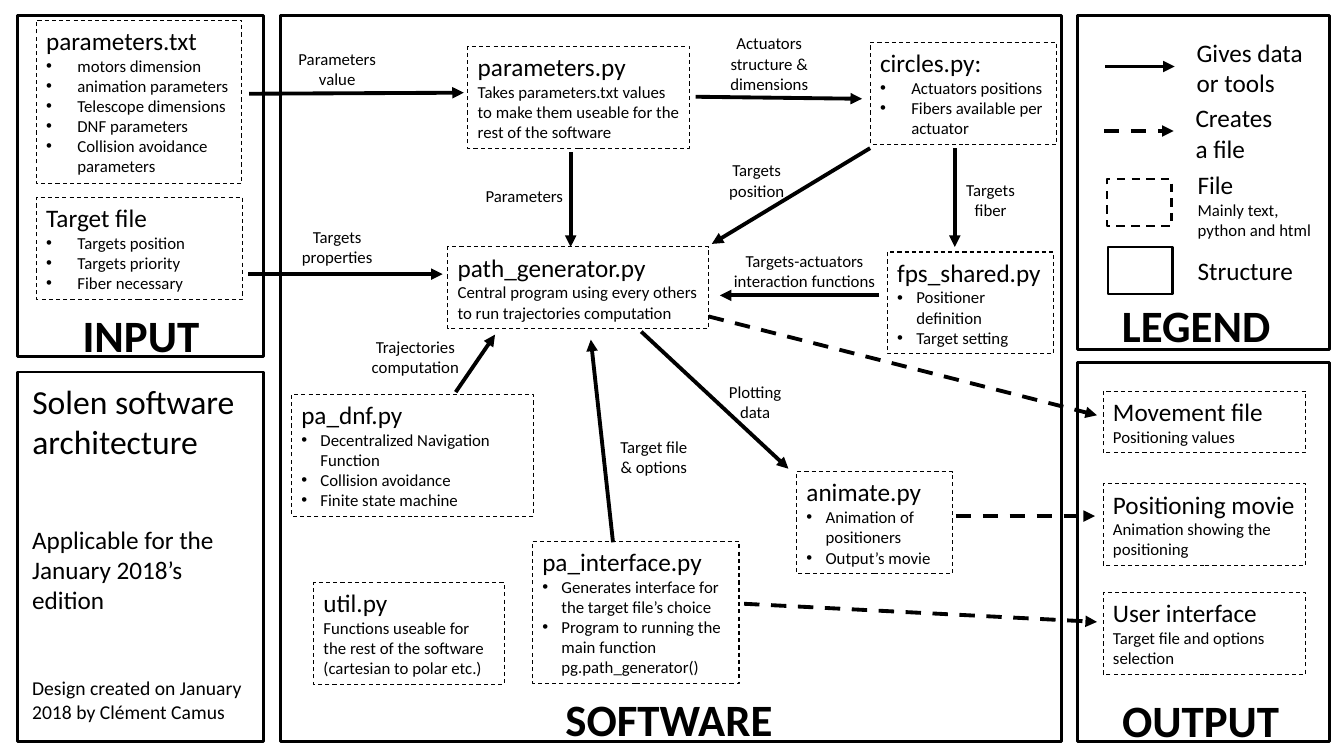
from pptx import Presentation, util as u
from pptx.dml.color import RGBColor
from pptx.enum import dml, shapes, text
from pptx.oxml import ns
from lxml import etree

INK, PAPER = "000000", "FFFFFF"
HEAD, NOTE = 18, 12
LEFT, MID = text.PP_ALIGN.LEFT, text.PP_ALIGN.CENTER


def paint(goal, hue):
    if hasattr(goal, "solid"):
        goal.solid()
        goal = goal.fore_color
    goal.rgb = RGBColor.from_string(hue)


def put(item, form):
    for key, val in form.items():
        setattr(item, key, val)


def add(node, tag, **atts):
    return etree.SubElement(node, ns.qn(tag), atts)


def bullet(para, dent):
    prop = para._p.get_or_add_pPr()
    size = u.Inches(dent)
    prop.set("marL", str(size))
    prop.set("indent", str(-size))
    add(prop, "a:buFont", typeface="Arial")
    add(prop, "a:buChar", char="•")


def write(item, rows, align=LEFT, bold=False, gap=0, dent=0,
          fit=text.MSO_AUTO_SIZE.SHAPE_TO_FIT_TEXT):
    frame = item.text_frame
    put(frame, dict(word_wrap=True, auto_size=fit,
                    vertical_anchor=text.MSO_ANCHOR.TOP,
                    margin_left=u.Inches(0.1), margin_right=u.Inches(0.1),
                    margin_top=u.Inches(0.05), margin_bottom=u.Inches(0.05)))
    for num, (words, size) in enumerate(rows):
        para = frame.add_paragraph() if num else frame.paragraphs[0]
        put(para, dict(alignment=align, space_before=u.Pt(gap if num else 0)))
        if num and dent:
            bullet(para, dent)
        run = para.add_run()
        run.text = words
        put(run.font, dict(name="Calibri", size=u.Pt(size), bold=bold))
        paint(run.font.color, INK)


class Region:
    def __init__(self, slide, box):
        self.tree, self.box = slide.shapes, box

    def place(self, x, y, wide, high):
        left, top = self.box[:2]
        return [u.Inches(n) for n in (left + x, top + y, wide, high)]

    def stroke(self, item, width, dash):
        paint(item.line.fill, INK)
        item.line.width = u.Pt(width)
        if dash:
            item.line.dash_style = dml.MSO_LINE.DASH

    def rect(self, spot, width=2, dash=False, fill=None):
        item = self.tree.add_shape(shapes.MSO_SHAPE.RECTANGLE, *self.place(*spot))
        item.shadow.inherit = False
        if fill:
            paint(item.fill, fill)
        else:
            item.fill.background()
        self.stroke(item, width, dash)
        return item

    def frame(self):
        self.rect((0, 0, *self.box[2:]))

    def file(self, spot, name, notes, dent=0, fill=None):
        item = self.rect(spot, 0.75, True, fill)
        write(item, [(name, HEAD)] + [(n, NOTE) for n in notes], dent=dent)

    def label(self, spot, rows, **form):
        write(self.tree.add_textbox(*self.place(*spot)), rows, **form)

    def name(self, spot, words):
        self.label((*spot, 0.64), [(words, 32)], bold=True)

    def arrow(self, x1, y1, x2, y2, dash=False):
        ends = self.place(x1, y1, 0, 0)[:2] + self.place(x2, y2, 0, 0)[:2]
        item = self.tree.add_connector(shapes.MSO_CONNECTOR.STRAIGHT, *ends)
        self.stroke(item, 2.75, dash)
        prop = item.element.spPr
        add(prop.find(ns.qn("a:ln")), "a:tailEnd", type="triangle")
        add(prop, "a:effectLst")


def draw_input(slide, box):
    area = Region(slide, box)
    area.frame()
    area.file((0.19, 0.05, 2.04, 1.62), "parameters.txt",
              ["motors dimension", "animation parameters", "Telescope dimensions",
               "DNF parameters", "Collision avoidance parameters"], 0.31)
    area.file((0.19, 1.81, 2.05, 1.01), "Target file",
              ["Targets position", "Targets priority", "Fiber necessary"], 0.31)
    area.name((0.55, 2.85, 1.41), "INPUT")


def draw_title(slide, box):
    area = Region(slide, box)
    area.frame()
    title = slide.shapes.title
    put(title, dict(zip(("left", "top", "width", "height"),
                        area.place(0.05, 0.04, 2.39, 0.91))))
    write(title, [("Solen software architecture", 24)], fit=text.MSO_AUTO_SIZE.NONE)
    area.label((0.05, 1.46, 2.39, 2.08),
               [("Applicable for the January 2018’s edition", HEAD),
                ("Design created on January 2018 by Clément Camus", 14)], gap=44)


def draw_software(slide, box):
    area = Region(slide, box)
    area.frame()
    files = [
        ((5.85, 0.27, 1.85, 1.01), "circles.py:",
         ["Actuators positions", "Fibers available per actuator"], 0.31),
        ((1.86, 0.31, 2.2, 1.01), "parameters.py",
         ["Takes parameters.txt values to make them useable for the rest of the software"]),
        ((0.33, 5.63, 1.89, 1.01), "util.py",
         ["Functions useable for the rest of the software (cartesian to polar etc.)"],
         0, PAPER),
        ((6.02, 2.35, 1.65, 1.01), "fps_shared.py",
         ["Positioner definition", "Target setting"], 0.19),
        ((0.11, 3.76, 2.4, 1.21), "pa_dnf.py",
         ["Decentralized Navigation Function", "Collision avoidance",
          "Finite state machine"], 0.19),
        ((5.12, 4.53, 1.55, 1.01), "animate.py",
         ["Animation of positioners", "Output’s movie"], 0.19),
        ((1.66, 2.3, 2.59, 0.81), "path_generator.py",
         ["Central program using every others to run trajectories computation"]),
        ((2.5, 5.22, 2.05, 1.41), "pa_interface.py",
         ["Generates interface for the target file’s choice",
          "Program to running the main function pg.path_generator()"], 0.19)]
    for item in files:
        area.file(*item)
    flows = [
        (2.88, 1.36, 2.88, 2.3), (-0.31, 0.78, 1.82, 0.77),
        (-0.32, 2.57, 1.61, 2.57), (1.74, 3.74, 2.13, 3.17),
        (3.3, 5.23, 3.08, 3.22), (3.58, 3.14, 5.04, 4.5),
        (4.12, 0.81, 5.77, 0.83), (6.69, 1.32, 6.69, 2.3),
        (5.85, 1.32, 4.28, 2.27), (5.94, 2.78, 4.36, 2.78),
        (6.7, 4.97, 8.08, 4.97, True), (4.25, 2.99, 8.1, 3.97, True),
        (4.6, 5.84, 8.1, 6.02, True)]
    for flow in flows:
        area.arrow(*flow)
    labels = [
        ((0, 0.28, 1.13, 0.5), "Parameters value"),
        ((0.03, 2.05, 1.07, 0.5), "Targets properties"),
        ((4.25, 1.39, 0.95, 0.5), "Targets", "position"),
        ((4.25, 0.13, 1.2, 0.71), "Actuators structure & dimensions"),
        ((6.69, 1.58, 0.71, 0.5), "Targets fiber"),
        ((4.37, 2.29, 1.66, 0.5), "Targets-actuators interaction functions"),
        ((4.28, 3.59, 0.86, 0.52), "Plotting data"),
        ((3.24, 4.13, 0.93, 0.5), "Target file & options"),
        ((1.91, 1.64, 1.02, 0.3), "Parameters"),
        ((0.8, 3.14, 1.08, 0.5), "Trajectories computation")]
    for spot, *rows in labels:
        area.label(spot, [(row, NOTE) for row in rows], align=MID)
    area.name((2.73, 6.66, 2.29), "SOFTWARE")


def draw_legend(slide, box):
    area = Region(slide, box)
    area.frame()
    area.arrow(0.27, 0.51, 0.96, 0.51)
    area.arrow(0.26, 1.15, 0.95, 1.15, True)
    area.rect((0.29, 1.63, 0.64, 0.46), 1.5, True)
    area.rect((0.3, 2.3, 0.64, 0.47), 1.75)
    area.label((1.08, 0.17, 1.3, 0.71), [("Gives data or tools", HEAD)])
    area.label((1.07, 0.82, 0.97, 0.71), [("Creates a file", HEAD)])
    area.label((1.09, 1.48, 1.33, 0.81),
               [("File", HEAD), ("Mainly text, python and html", NOTE)])
    area.label((1.09, 2.33, 1.17, 0.4), [("Structure", HEAD)])
    area.name((0.34, 2.75, 1.74), "LEGEND")


def draw_output(slide, box):
    area = Region(slide, box)
    area.frame()
    for y, high, name, note in [
            (0.28, 0.61, "Movement file", "Positioning values"),
            (1.2, 0.81, "Positioning movie", "Animation showing the positioning"),
            (2.28, 0.81, "User interface", "Target file and options selection")]:
        area.file((0.25, y, 2.01, high), name, [note])
    area.name((0.34, 3.22, 1.81), "OUTPUT")


deck = Presentation()
put(deck, dict(slide_width=u.Inches(13.33), slide_height=u.Inches(7.5)))
page = deck.slides.add_slide(deck.slide_layouts[5])
draw_input(page, (0.17, 0.15, 2.44, 3.39))
draw_title(page, (0.17, 3.69, 2.44, 3.67))
draw_software(page, (2.78, 0.15, 7.75, 7.21))
draw_legend(page, (10.69, 0.15, 2.5, 3.32))
draw_output(page, (10.69, 3.6, 2.5, 3.76))
deck.save("out.pptx")
